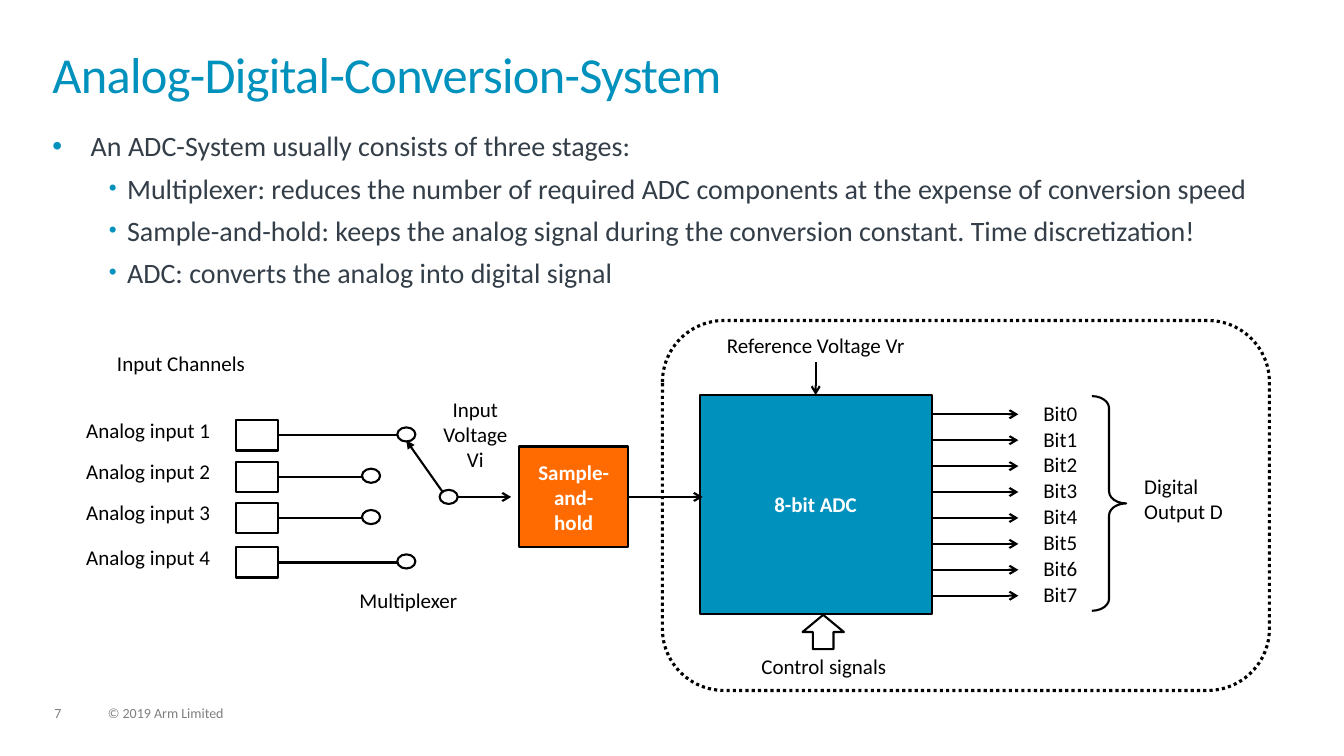
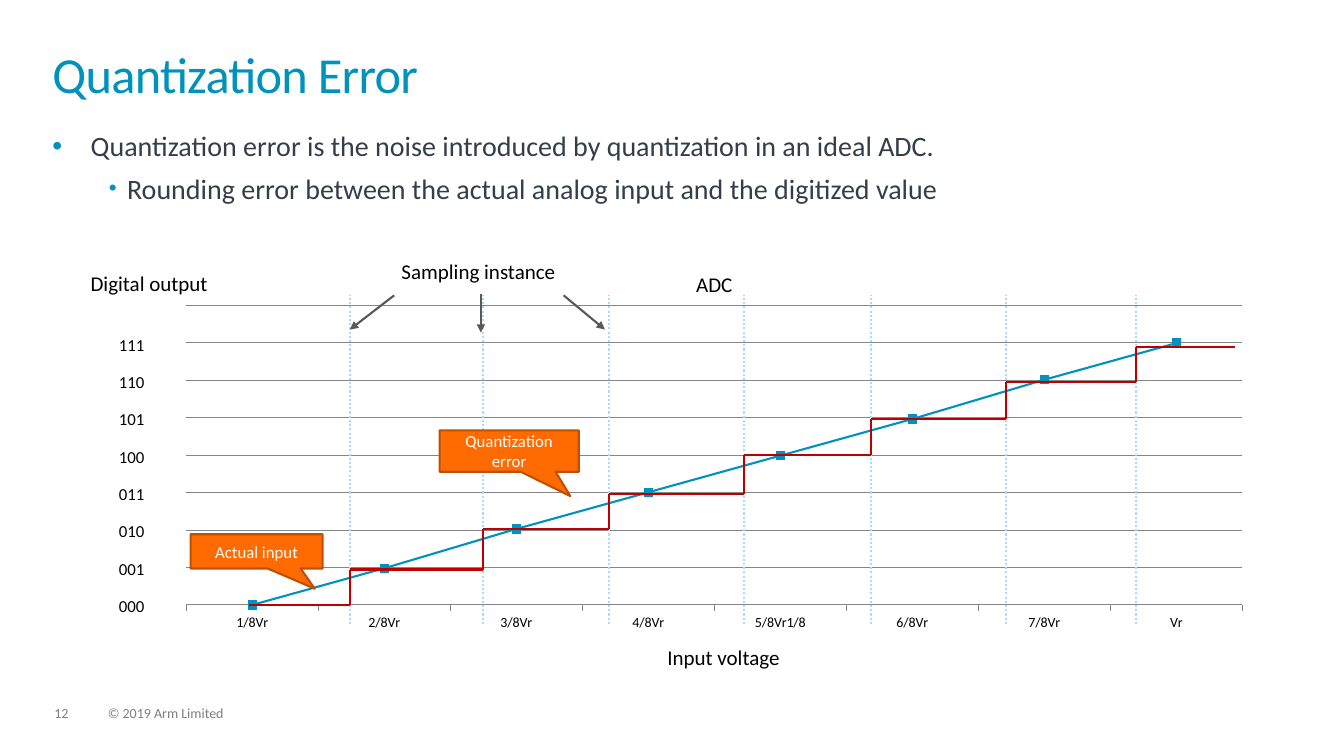
from dataclasses import dataclass

import lxml.etree
import pptx
import pptx.chart.data
import pptx.dml.color
import pptx.enum.chart
import pptx.enum.dml
import pptx.enum.shapes
import pptx.enum.text
import pptx.oxml
import pptx.oxml.ns
import pptx.util

Inches = pptx.util.Inches
Pt = pptx.util.Pt
Color = pptx.dml.color.RGBColor.from_string
Preset = pptx.enum.shapes.MSO_SHAPE
Align = pptx.enum.text.PP_ALIGN
Anchor = pptx.enum.text.MSO_ANCHOR
qn = pptx.oxml.ns.qn


@dataclass(frozen=True)
class Theme:
    font: str = "Calibri"
    blue: str = "0091BD"
    orange: str = "FF6B00"
    dark_orange: str = "BF5000"
    slate: str = "333E48"
    black: str = "000000"
    white: str = "FFFFFF"
    footer_gray: str = "7F7F7F"
    grid_gray: str = "868686"
    arrow_gray: str = "595959"
    sample_blue: str = "A8DBFF"
    step_red: str = "C00000"
    title_size: float = 36
    body_size: float = 20
    label_size: float = 15
    small_size: float = 12
    footer_size: float = 10
    stroke: float = 1.5
    frame_stroke: float = 2.25


theme = Theme()


def add_box(page, place, lines=(), preset=None, fill=None, outline=theme.black,
            size=theme.label_size, color=theme.black, bold=False,
            align=Align.LEFT, margins=(0.1, 0.05)):
    """Add a text box, or a preset shape with centred text."""
    place = [Inches(length) for length in place]
    if preset is None:
        box = page.shapes.add_textbox(*place)
    else:
        box = page.shapes.add_shape(preset, *place)
        box.shadow.inherit = False
        box.line.color.rgb = Color(outline)
        box.line.width = Pt(theme.stroke)
        if fill:
            box.fill.solid()
            box.fill.fore_color.rgb = Color(fill)
        else:
            box.fill.background()
        align = Align.CENTER
    frame = box.text_frame
    frame.word_wrap = True
    frame.vertical_anchor = Anchor.MIDDLE if preset else Anchor.TOP
    frame.margin_left = frame.margin_right = Inches(margins[0])
    frame.margin_top = frame.margin_bottom = Inches(margins[1])
    for index, line in enumerate(lines):
        para = frame.add_paragraph() if index else frame.paragraphs[0]
        para.alignment = align
        span = para.add_run()
        span.text = line
        span.font.name = theme.font
        span.font.size = Pt(size)
        span.font.bold = bold
        span.font.color.rgb = Color(color)
    return box


def add_line(page, start, end, color=theme.black, head=None, dotted=False):
    """Add a straight line, with an optional arrowhead at its end."""
    line = page.shapes.add_connector(
        pptx.enum.shapes.MSO_CONNECTOR.STRAIGHT,
        *[Inches(length) for length in (*start, *end)])
    line.line.color.rgb = Color(color)
    line.line.width = Pt(theme.stroke)
    if dotted:
        line.line.dash_style = pptx.enum.dml.MSO_LINE.ROUND_DOT
    properties = line._element.spPr
    if head:
        outline = properties.find(qn("a:ln"))
        lxml.etree.SubElement(outline, qn("a:tailEnd")).set("type", head)
    lxml.etree.SubElement(properties, qn("a:effectLst"))


deck = pptx.Presentation()
deck.slide_width = Inches(13.33)
deck.slide_height = Inches(7.5)

# Titles, bullets and footers; each bullet is (level, text)
contents = [
    ("7", "Analog-Digital-Conversion-System", [
        (0, "An ADC-System usually consists of three stages:"),
        (1, "Multiplexer: reduces the number of required ADC components "
            "at the expense of conversion speed"),
        (1, "Sample-and-hold: keeps the analog signal during the conversion "
            "constant. Time discretization!"),
        (1, "ADC: converts the analog into digital signal")]),
    ("12", "Quantization Error", [
        (0, "Quantization error is the noise introduced by quantization in an ideal ADC."),
        (1, "Rounding error between the actual analog input and the digitized value")]),
]
bullet_styles = [(0.38, -0.38, 100), (0.74, -0.18, 80)]  # margin, indent, bullet percent
pages = []
for number, title, bullets in contents:
    page = deck.slides.add_slide(deck.slide_layouts[6])
    pages.append(page)
    for left, width, footer in [(0.54, 0.34, number), (1.07, 5.07, "© 2019 Arm Limited")]:
        box = add_box(page, (left, 7.01, width, 0.15), [footer], size=theme.footer_size,
                      color=theme.footer_gray, margins=(0, 0))
        box.text_frame.paragraphs[0].line_spacing = 0.9
    box = add_box(page, (0.52, 0.52, 12.28, 0.72), [title], size=theme.title_size,
                  color=theme.blue, margins=(0, 0))
    para = box.text_frame.paragraphs[0]
    para.line_spacing = 0.85
    para.runs[0]._r.get_or_add_rPr().set("spc", "-50")
    box = add_box(page, (0.52, 1.28, 12.28, 1.8), [text for _, text in bullets],
                  size=theme.body_size, color=theme.slate, margins=(0, 0))
    for index, (level, _) in enumerate(bullets):
        para = box.text_frame.paragraphs[index]
        para.level = level
        para.space_before = Pt(6 if index else 0)
        margin, indent, percent = bullet_styles[level]
        properties = para._p.get_or_add_pPr()
        properties.set("marL", str(Inches(margin)))
        properties.set("indent", str(Inches(indent)))
        bullet_color = lxml.etree.SubElement(properties, qn("a:buClr"))
        lxml.etree.SubElement(bullet_color, qn("a:srgbClr")).set("val", theme.blue)
        for tag, key, value in [("a:buSzPct", "val", str(percent * 1000)),
                                ("a:buFont", "typeface", "Arial"),
                                ("a:buChar", "char", "•")]:
            lxml.etree.SubElement(properties, qn(tag)).set(key, value)
system_page, error_page = pages

# Converter block and its eight output bits
add_box(system_page, (6.94, 3.92, 2.3, 2.17), ["8-bit ADC"], Preset.RECTANGLE,
        theme.blue, color=theme.white, bold=True)
bit_step = 1.8 / 7
for bit in range(8):
    y = 4.11 + bit * bit_step
    add_line(system_page, (9.23, y), (10.1, y), head="arrow")
    add_box(system_page, (10.25, y - 0.19, 0.7, 0.35), [f"Bit{bit}"])
brace = add_box(system_page, (10.83, 3.93, 0.34, 2.13), preset=Preset.RIGHT_BRACE)
brace.adjustments[0] = 0.35
add_box(system_page, (11.25, 4.65, 1.26, 0.61), ["Digital", "Output D"])
add_line(system_page, (8.09, 3.59), (8.09, 3.92), head="arrow")
add_box(system_page, (7.96, 6.1, 0.41, 0.34), preset=Preset.UP_ARROW)

# Multiplexer inputs, with the contact of each channel
contact_size = (0.18, 0.14)
for channel, (y, contact) in enumerate(
        [(4.32, 3.94), (4.73, 3.59), (5.14, 3.59), (5.58, 3.94)], start=1):
    add_box(system_page, (0.7, y - 0.23, 1.54, 0.35), [f"Analog input {channel}"],
            align=Align.CENTER)
    add_box(system_page, (2.34, y - 0.15, 0.42, 0.3), preset=Preset.RECTANGLE,
            fill=theme.white)
    add_line(system_page, (2.76, y), (contact, y))
    add_box(system_page, (contact, y - 0.08, *contact_size), preset=Preset.OVAL,
            fill=theme.white)

# Switch arm and sample-and-hold stage
add_line(system_page, (4.42, 4.93), (5.07, 4.93), head="arrow")
add_box(system_page, (4.36, 4.86, *contact_size), preset=Preset.OVAL, fill=theme.white)
add_line(system_page, (4.39, 4.88), (4.03, 4.37), head="triangle")
add_box(system_page, (5.15, 4.43, 1.08, 1), ["Sample-", "and-", "hold"],
        Preset.RECTANGLE, theme.orange, color=theme.white, bold=True)
add_line(system_page, (6.23, 4.93), (6.97, 4.93), head="arrow")

# Dotted frame and centred labels
dotted_frame = add_box(system_page, (6.57, 3.18, 6.02, 3.67),
                       preset=Preset.ROUNDED_RECTANGLE)
dotted_frame.line.width = Pt(theme.frame_stroke)
dotted_frame.line.dash_style = pptx.enum.dml.MSO_LINE.ROUND_DOT
for place, label in [((0.95, 3.43, 1.69, 0.35), "Input Channels"),
                     ((4.23, 3.88, 0.97, 0.86), "Input Voltage Vi"),
                     ((3.37, 5.78, 1.36, 0.35), "Multiplexer"),
                     ((6.88, 3.25, 2.42, 0.35), "Reference Voltage Vr"),
                     ((7.02, 6.43, 2.3, 0.35), "Control signals")]:
    add_box(system_page, place, [label], align=Align.CENTER)

# Line chart of the analog input
data = pptx.chart.data.CategoryChartData()
data.categories = ["1/8Vr", "2/8Vr", "3/8Vr", "4/8Vr", "5/8Vr1/8", "6/8Vr", "7/8Vr", "Vr"]
data.add_series("Series 1", [0, 14, 29, 43, 57, 71, 86, 100])
chart = error_page.shapes.add_chart(
    pptx.enum.chart.XL_CHART_TYPE.LINE_MARKERS,
    *[Inches(length) for length in (1.63, 2.49, 10.91, 3.86)], data).chart
chart.has_legend = False
chart.font.name = theme.font
chart.font.size = Pt(theme.footer_size)
chart.font.color.rgb = Color(theme.black)
chart.has_title = True
span = chart.chart_title.text_frame.paragraphs[0].add_run()
span.text = "ADC"
span.font.name = theme.font
span.font.size = Pt(theme.label_size)
span.font.bold = False
span.font.color.rgb = Color(theme.black)

plot = chart.plots[0]
plot.vary_by_categories = False
series = plot.series[0]
series.smooth = False
series.format.line.color.rgb = Color(theme.blue)
series.format.line.width = Pt(theme.stroke)
series.marker.style = pptx.enum.chart.XL_MARKER_STYLE.SQUARE
series.marker.size = 6
series.marker.format.fill.solid()
series.marker.format.fill.fore_color.rgb = Color(theme.blue)
series.marker.format.line.color.rgb = Color(theme.blue)

value_axis = chart.value_axis
value_axis.minimum_scale = 0
value_axis.maximum_scale = 114.4
value_axis.major_unit = 14.3
value_axis.has_major_gridlines = True
value_axis.visible = False
category_axis = chart.category_axis
category_axis.major_tick_mark = pptx.enum.chart.XL_TICK_MARK.OUTSIDE
category_axis.tick_labels.font.size = Pt(theme.footer_size)
for rule in (value_axis.major_gridlines, category_axis):
    rule.format.line.color.rgb = Color(theme.grid_gray)
    rule.format.line.width = Pt(0.75)

# Fixed positions of chart title and plot area, as fractions of the chart
plot_area = chart._chartSpace.chart.plotArea
for element, index, settings in [
        (chart.chart_title._element, 1,
         [("xMode", "edge"), ("yMode", "edge"), ("x", 0.48), ("y", 0.04)]),
        (plot_area, 0,
         [("layoutTarget", "inner"), ("xMode", "edge"), ("yMode", "edge"),
          ("x", 0.02), ("y", 0.14), ("w", 0.96), ("h", 0.77)])]:
    for old_layout in element.findall(qn("c:layout")):
        element.remove(old_layout)
    layout = pptx.oxml.parse_xml(f"<c:layout {pptx.oxml.ns.nsdecls('c')}/>")
    manual = lxml.etree.SubElement(layout, qn("c:manualLayout"))
    for tag, value in settings:
        lxml.etree.SubElement(manual, qn(f"c:{tag}")).set("val", str(value))
    element.insert(index, layout)

# Digital codes and axis names
for code in range(8):
    add_box(error_page, (1.08, 5.86 - code * 0.37, 1.22, 0.3), [f"{code:03b}"],
            size=theme.small_size)
add_box(error_page, (0.8, 2.63, 1.87, 0.35), ["Digital output"])
add_box(error_page, (6.52, 6.34, 1.87, 0.35), ["Input voltage"])

# Sampling instants and the quantized staircase
samples = [3.47, 4.79, 6.04, 7.38, 8.64, 9.98, 11.27]
levels = [6, 5.65, 5.25, 4.9, 4.51, 4.16, 3.79, 3.44]
for x in samples:
    add_line(error_page, (x, 6.19), (x, 2.93), theme.sample_blue, dotted=True)
edges = [2.47, *samples, 12.25]
for left, right, level in zip(edges, edges[1:], levels):
    add_line(error_page, (left, level), (right, level), theme.step_red)
for x, low, high in zip(samples, levels, levels[1:]):
    add_line(error_page, (x, low), (x, high), theme.step_red)

# Callouts
for place, lines in [((1.89, 5.3, 1.31, 0.34), ["Actual input"]),
                     ((4.36, 4.27, 1.38, 0.41), ["Quantization", "error"])]:
    callout = add_box(error_page, place, lines, Preset.RECTANGULAR_CALLOUT, theme.orange,
                      theme.dark_orange, theme.small_size, theme.white)
    callout.adjustments[0] = 0.44
    callout.adjustments[1] = 1.09

# Arrows to the first three sampling instants
add_box(error_page, (3.46, 2.52, 2.57, 0.35), ["Sampling instance"], align=Align.CENTER)
for start, end in [((3.91, 2.93), (3.47, 3.27)), ((4.77, 2.92), (4.77, 3.3)),
                   ((5.59, 2.93), (6, 3.27))]:
    add_line(error_page, start, end, theme.arrow_gray, head="triangle")

deck.save("out.pptx")
